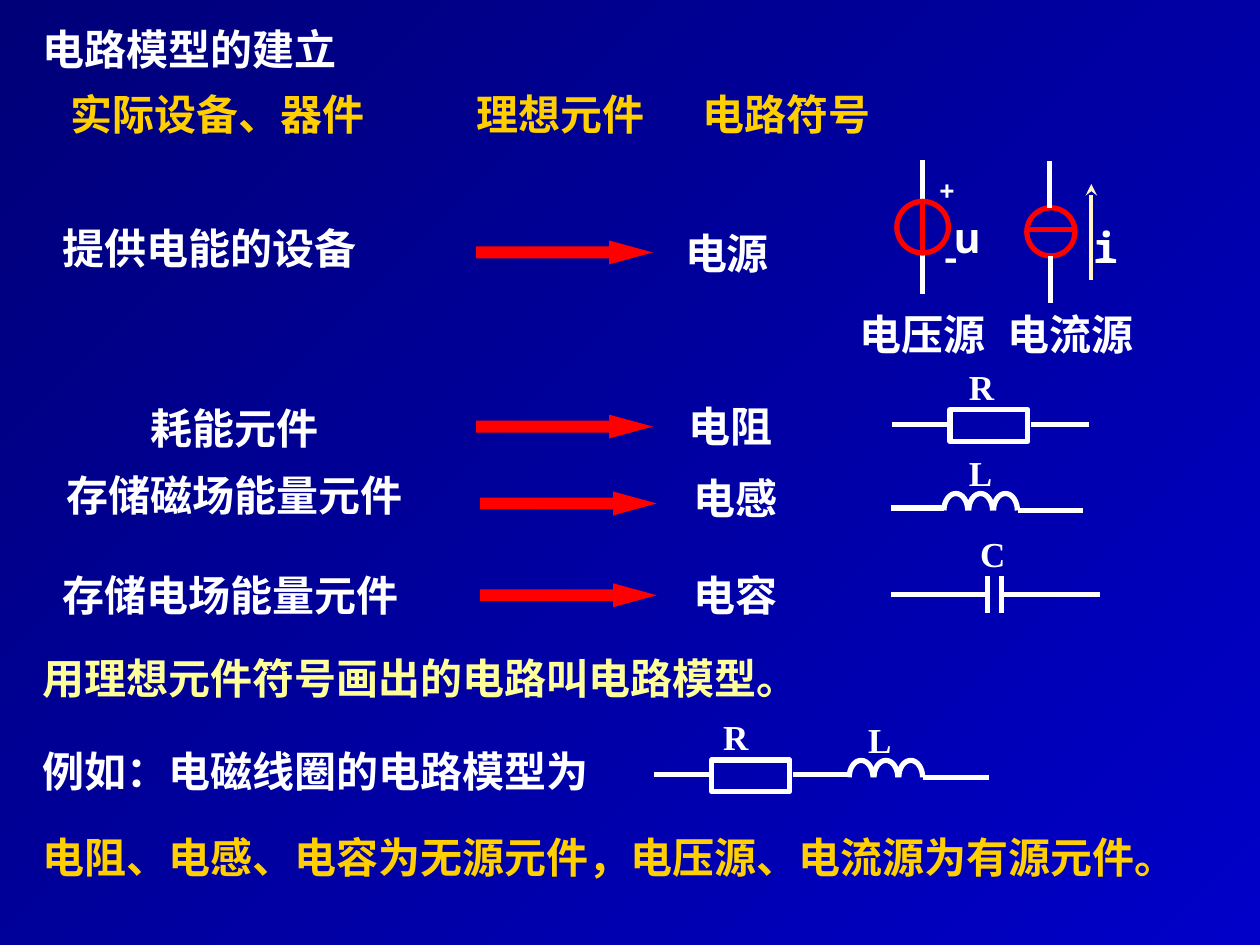
import math

import pptx
import pptx.dml.color
import pptx.enum.shapes
import pptx.enum.text
import pptx.oxml.ns
import pptx.oxml.xmlchemy
import pptx.util

Cm, Pt = pptx.util.Cm, pptx.util.Pt
SHAPE = pptx.enum.shapes.MSO_SHAPE
ALIGN = pptx.enum.text.PP_ALIGN
ANCHOR = pptx.enum.text.MSO_ANCHOR
FIT = pptx.enum.text.MSO_AUTO_SIZE
qn = pptx.oxml.ns.qn
new_element = pptx.oxml.xmlchemy.OxmlElement

# ---- Content (lengths in cm) ----
COLORS = {"navy": "000078", "blue": "0000C8", "white": "FFFFFF", "gold": "FFCF01",
          "yellow": "FFFF99", "red": "FF0000", "cream": "FFF4C8"}
CJK, SERIF, MONO = "Noto Sans CJK SC", "Times New Roman", "Noto Sans Mono"

TITLE = ("电路模型的建立", 0.61, 0.25, 6.91)
HEADINGS = ("实际设备、器件\t理想元件\t电路符号", 1.17, 1.65, 21.82)
HEADING_TABS = (8.18, 12.75)

# (device, x, y, width), (arrow x, y), (ideal element, x, y, width)
ROWS = [
    (("提供电能的设备", 1.02, 4.37, 8.23), (9.6, 4.85), ("电源", 13.56, 4.47, 2.49)),
    (("耗能元件", 2.79, 7.98, 4.29), (9.6, 8.36), ("电阻", 13.64, 7.95, 3.96)),
    (("存储磁场能量元件", 1.09, 9.35, 7.59), (9.68, 9.91), ("电感", 13.74, 9.4, 3.96)),
    (("存储电场能量元件", 1.02, 11.35, 8.79), (9.68, 11.76), ("电容", 13.74, 11.35, 2.79)),
]
SENTENCES = [
    ("用理想元件符号画出的电路叫电路模型。", 0.61, 13.03, 15.52, "yellow"),
    ("例如：电磁线圈的电路模型为", 0.61, 14.91, 11.71, "white"),
    ("电阻、电感、电容为无源元件，电压源、电流源为有源元件。", 0.61, 16.64, 23.16, "gold"),
]
SOURCE_CAPTIONS = [("电压源", 17.07, 6.1, 4.04), ("电流源", 20.07, 6.1, 4.04)]
COMPONENT_LETTERS = [("R", 19.28, 7.24), ("L", 19.28, 8.97), ("C", 19.51, 10.62),
                     ("R", 14.33, 14.3), ("L", 17.25, 14.35)]
SOURCE_SIGNS = [("+", 18.44, 3.38, 16), ("-", 18.52, 4.62, 20),
                ("u", 18.85, 4.14, 24), ("i", 21.64, 4.34, 24)]

# Left end of the lead and height of the wire
RESISTORS = [(17.98, 8.56), (13.18, 15.62)]
INDUCTORS = [(17.96, 10.24), (16.05, 15.62)]
CAPACITOR = (17.96, 11.99)

# ---- Slide and background ----
deck = pptx.Presentation()
deck.slide_width, deck.slide_height = Cm(25.4), Cm(19.05)
slide = deck.slides.add_slide(deck.slide_layouts[6])


def rgb(color):
    return pptx.dml.color.RGBColor.from_string(COLORS[color])


backdrop = slide.background.fill
backdrop.gradient()
backdrop.gradient_angle = 315
for stop, color, position in zip(backdrop.gradient_stops, ("navy", "blue"), (0, 1)):
    stop.color.rgb = rgb(color)
    stop.position = position


# ---- Drawing helpers ----
def apply(target, formats):
    for attribute, value in formats.items():
        setattr(target, attribute, value)


def write(words, x, y, width, color="white", font=CJK, size=24, height=1.27,
          align=ALIGN.LEFT, anchor=ANCHOR.TOP, fit=FIT.SHAPE_TO_FIT_TEXT):
    frame = slide.shapes.add_textbox(Cm(x), Cm(y), Cm(width), Cm(height)).text_frame
    apply(frame, {"word_wrap": True, "auto_size": fit, "vertical_anchor": anchor})
    paragraph = frame.paragraphs[0]
    paragraph.alignment = align
    run = paragraph.add_run()
    run.text = words
    apply(run.font, {"name": font, "size": Pt(size), "bold": True})
    run.font.color.rgb = rgb(color)
    east_asian = new_element("a:ea")
    east_asian.set("typeface", font)
    run.font._element.append(east_asian)
    return paragraph


def outline(shape, color):
    shape.shadow.inherit = False
    shape.fill.background()
    shape.line.color.rgb = rgb(color)
    shape.line.width = Pt(3)


def outlined(kind, x, y, width, height, color):
    outline(slide.shapes.add_shape(kind, Cm(x), Cm(y), Cm(width), Cm(height)), color)


def wire(x1, y1, x2, y2, color="white", weight=3):
    line = slide.shapes.add_connector(pptx.enum.shapes.MSO_CONNECTOR.STRAIGHT,
                                      Cm(x1), Cm(y1), Cm(x2), Cm(y2))
    line.line.color.rgb = rgb(color)
    line.line.width = Pt(weight)
    line._element.spPr.append(new_element("a:effectLst"))
    return line


def row_arrow(x, y):
    arrow = slide.shapes.add_shape(SHAPE.RIGHT_ARROW, Cm(x), Cm(y), Cm(3.56), Cm(0.48))
    arrow.adjustments[0], arrow.adjustments[1] = 0.5, 1.83
    arrow.shadow.inherit = False
    arrow.fill.solid()
    arrow.fill.fore_color.rgb = rgb("red")
    arrow.line.fill.background()


def resistor(x, y):
    outlined(SHAPE.RECTANGLE, x + 1.17, y - 0.3, 1.57, 0.64, "white")
    wire(x, y, x + 1.17, y)
    wire(x + 2.8, y, x + 3.97, y)


def inductor(x, y, loops=3, pitch=0.5, radius=0.24, rise=0.34, steps=16):
    base = y + 0.05
    wire(x, y, x + 1.07, y)
    for loop in range(loops):
        middle = x + 1.07 + radius + loop * pitch
        points = [(Cm(middle - radius * math.cos(math.pi * k / steps)),
                   Cm(base - rise * math.sin(math.pi * k / steps)))
                  for k in range(steps + 1)]
        builder = slide.shapes.build_freeform(*points[0])
        builder.add_line_segments(points[1:], close=False)
        outline(builder.convert_to_shape(), "white")
    wire(x + 2.56, base, x + 3.88, base)


def capacitor(x, y):
    left_plate, right_plate = x + 1.95, x + 2.23
    for plate in (left_plate, right_plate):
        wire(plate, y - 0.37, plate, y + 0.37)
    wire(x, y, left_plate, y)
    wire(right_plate, y, x + 4.21, y)


# ---- Title and headings ----
write(*TITLE, height=1.37, anchor=ANCHOR.BOTTOM, fit=FIT.NONE)
headings = write(*HEADINGS, color="gold")
tab_list = new_element("a:tabLst")
for position in HEADING_TABS:
    tab = new_element("a:tab")
    tab.set("pos", str(Cm(position)))
    tab.set("algn", "l")
    tab_list.append(tab)
headings._p.get_or_add_pPr().append(tab_list)

# ---- Rows, sentences and captions ----
for device, arrow_place, element in ROWS:
    write(*device)
    row_arrow(*arrow_place)
    write(*element)
for sentence in SENTENCES + SOURCE_CAPTIONS:
    write(*sentence)

# ---- Passive components ----
for place in RESISTORS:
    resistor(*place)
for place in INDUCTORS:
    inductor(*place)
capacitor(*CAPACITOR)
for letter, x, y in COMPONENT_LETTERS:
    write(letter, x, y, 2.01, font=SERIF, size=20, height=1.09)

# ---- Voltage source ----
wire(18.59, 3.23, 18.59, 5.92)
outlined(SHAPE.OVAL, 18.08, 4.06, 1.04, 1.04, "red")
wire(18.59, 4.06, 18.59, 5.1, "red")

# ---- Current source ----
outlined(SHAPE.OVAL, 20.7, 4.19, 0.97, 0.97, "red")
wire(21.18, 5.16, 21.18, 6.1)
wire(21.16, 3.25, 21.16, 4.19)
wire(20.7, 4.62, 21.62, 4.62, "red")
current = wire(22, 3.71, 22, 5.64, "cream", 2.25)
arrowhead = new_element("a:headEnd")
arrowhead.set("type", "stealth")
current._element.spPr.find(qn("a:ln")).append(arrowhead)

for sign, x, y, size in SOURCE_SIGNS:
    write(sign, x, y, 1.3, font=MONO, size=size, height=0.25 + size * 0.04,
          align=ALIGN.CENTER)

deck.save("out.pptx")
